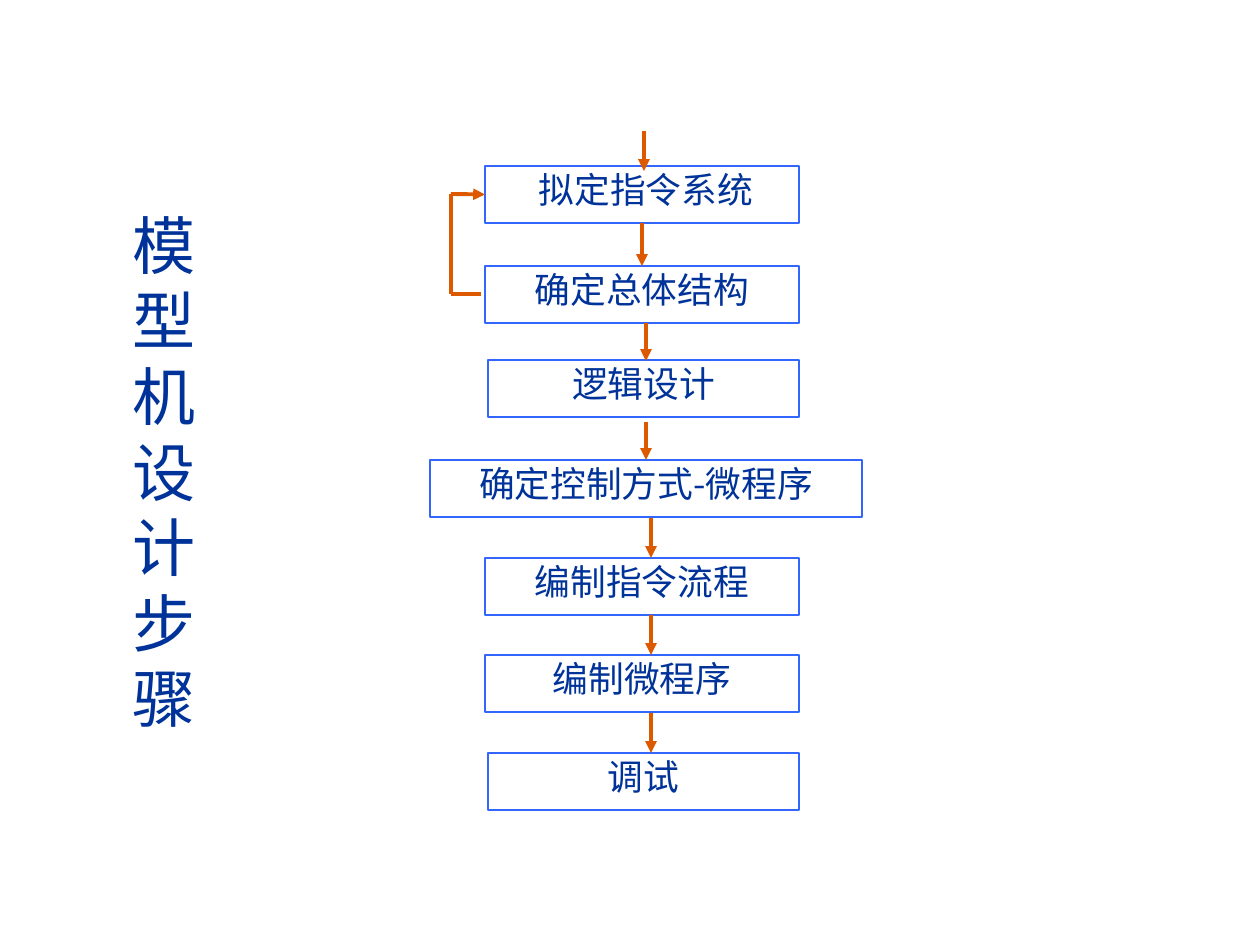
from lxml import etree
from pptx import Presentation
from pptx import util as u
from pptx.dml.color import RGBColor
from pptx.enum import shapes, text
from pptx.oxml.ns import qn

SCALE = 914400 // 126


def px(n):
    return u.Emu(n * SCALE)


def tint(code):
    return RGBColor.from_string(code)


class Chart:
    ink = "003399"
    edge = "3366FF"
    flow = "DC5900"
    paper = "FFFFFF"

    def __init__(self, slide):
        self.slide = slide

    def style(self, para, face, size):
        font = para.font
        font.name = face
        font.size = u.Pt(size)
        font.color.rgb = tint(self.ink)

    def title(self, words, x, y, w, h):
        frame = self.slide.shapes.add_textbox(px(x), px(y), px(w), px(h)).text_frame
        frame.word_wrap = True
        frame.vertical_anchor = text.MSO_ANCHOR.MIDDLE
        frame.text = "\n".join(words)
        for para in frame.paragraphs:
            para.line_spacing = u.Pt(43.2)
            self.style(para, "Times New Roman", 36)

    def step(self, words, x, y, w, h=57):
        box = self.slide.shapes.add_shape(
            shapes.MSO_SHAPE.RECTANGLE, px(x), px(y), px(w), px(h))
        box.shadow.inherit = False
        box.fill.solid()
        box.fill.fore_color.rgb = tint(self.paper)
        box.line.color.rgb = tint(self.edge)
        box.line.width = u.Pt(1.5)
        frame = box.text_frame
        frame.word_wrap = True
        frame.vertical_anchor = text.MSO_ANCHOR.TOP
        frame.text = words
        para = frame.paragraphs[0]
        para.alignment = text.PP_ALIGN.CENTER
        para.line_spacing = 0.9
        self.style(para, "Noto Sans CJK SC", 20.4)
        return box

    def line(self, x1, y1, x2, y2, head=True):
        link = self.slide.shapes.add_connector(
            shapes.MSO_CONNECTOR.STRAIGHT, px(x1), px(y1), px(x2), px(y2))
        link.line.color.rgb = tint(self.flow)
        link.line.width = u.Pt(2.25)
        if head:
            etree.SubElement(link.line._get_or_add_ln(), qn("a:tailEnd"), type="triangle")
        etree.SubElement(link._element.spPr, qn("a:effectLst"))
        return link


def main():
    deck = Presentation()
    deck.slide_width, deck.slide_height = px(1260), px(945)
    chart = Chart(deck.slides.add_slide(deck.slide_layouts[6]))

    chart.title("模型机设计步骤", 120, 200, 89, 542)
    steps = [
        (" 拟定指令系统", 485, 166, 314),
        ("确定总体结构", 485, 266, 314),
        ("逻辑设计", 488, 360, 311),
        ("确定控制方式-微程序", 430, 460, 432),
        ("编制指令流程", 485, 558, 314),
        ("编制微程序", 485, 655, 314),
        ("调试", 488, 753, 311),
    ]
    boxes = [chart.step(*row) for row in steps]

    chart.line(644, 131, 644, 171)
    first = chart.line(642, 223, 642, 266)
    first.begin_connect(boxes[0], 2)
    first.end_connect(boxes[1], 0)
    chart.line(646, 323, 646, 361)
    chart.line(646, 422, 646, 460).end_connect(boxes[3], 0)
    for y in (518, 615, 713):
        chart.line(651, y, 651, y + 40)

    chart.line(451, 294, 481, 294, head=False)
    chart.line(451, 294, 451, 194, head=False)
    chart.line(451, 194, 485, 194).end_connect(boxes[0], 1)

    deck.save("out.pptx")


if __name__ == "__main__":
    main()
